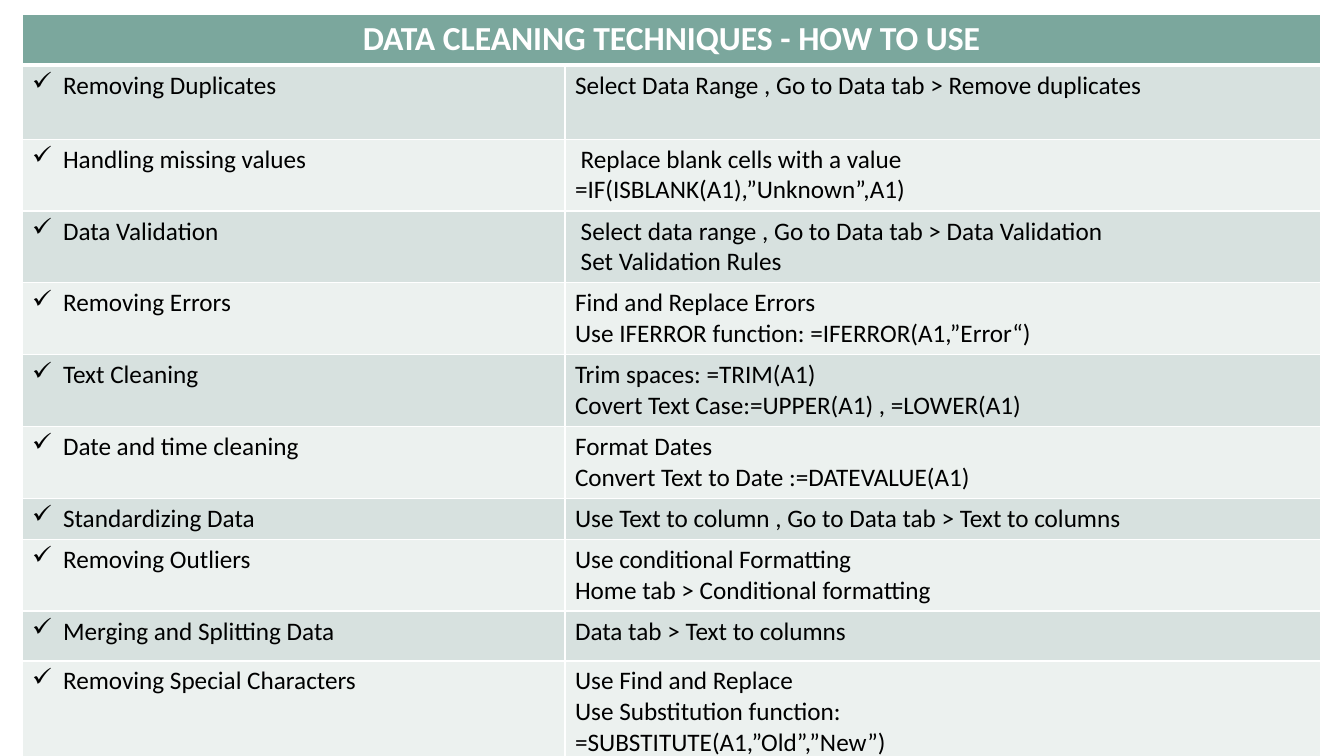
"""Build a slide with a table of data cleaning techniques."""
from lxml import etree
from pptx import Presentation
from pptx.dml.color import RGBColor
from pptx.enum.text import PP_ALIGN
from pptx.oxml.ns import qn
from pptx.util import Pt

CENTER, LEFT = PP_ALIGN.CENTER, PP_ALIGN.LEFT
WHITE = RGBColor(0xFF, 0xFF, 0xFF)
BLACK = RGBColor(0x00, 0x00, 0x00)
GREEN = RGBColor(0x7B, 0xA7, 0x9D)
BANDS = [RGBColor(0xD7, 0xE1, 0xDF), RGBColor(0xEC, 0xF1, 0xEF)]
HEAD = {"name": "Calibri", "size": Pt(24), "bold": True}
BODY = {"name": "Calibri", "size": Pt(18), "bold": False}
SCALE = 914400 / 100.8


def px(n):
    return round(n * SCALE)


def fill_cell(cell, lines, back, ink, style, align=LEFT, tick=False, top=1, base=1):
    props = cell._tc.get_or_add_tcPr()
    for side, width in zip("LRTB", (1, 1, top, base)):
        line = etree.SubElement(props, qn(f"a:ln{side}"), w=str(Pt(width)))
        paint = etree.SubElement(line, qn("a:solidFill"))
        etree.SubElement(paint, qn("a:srgbClr"), val=str(WHITE))
    cell.fill.solid()
    cell.fill.fore_color.rgb = back
    frame = cell.text_frame
    for i, text in enumerate(lines):
        para = frame.add_paragraph() if i else frame.paragraphs[0]
        para.alignment = align
        if tick:
            mark = para._p.get_or_add_pPr()
            mark.set("marL", str(px(31)))
            mark.set("indent", str(-px(31)))
            etree.SubElement(mark, qn("a:buChar"), char="✓")
        run = para.add_run()
        run.text = text
        for key, value in style.items():
            setattr(run.font, key, value)
        run.font.color.rgb = ink


TITLE = "DATA CLEANING TECHNIQUES - HOW TO USE"
STEPS = [
    (74, "Removing Duplicates", ["Select Data Range , Go to Data tab > Remove duplicates"]),
    (72, "Handling missing values",
     [" Replace blank cells with a value", "=IF(ISBLANK(A1),”Unknown”,A1)"]),
    (71, "Data Validation",
     [" Select data range , Go to Data tab > Data Validation", " Set Validation Rules"]),
    (72, "Removing Errors",
     ["Find and Replace Errors", "Use IFERROR function: =IFERROR(A1,”Error“)"]),
    (71, "Text Cleaning",
     ["Trim spaces: =TRIM(A1)", "Covert Text Case:=UPPER(A1) , =LOWER(A1)"]),
    (72, "Date and time cleaning",
     ["Format Dates", "Convert Text to Date :=DATEVALUE(A1)"]),
    (41, "Standardizing Data", ["Use Text to column , Go to Data tab > Text to columns"]),
    (71, "Removing Outliers",
     ["Use conditional Formatting", "Home tab > Conditional formatting"]),
    (50, "Merging and Splitting Data", ["Data tab > Text to columns"]),
    (102, "Removing Special Characters",
     ["Use Find and Replace", "Use Substitution function:", "=SUBSTITUTE(A1,”Old”,”New”)"]),
]
WIDTHS = [543, 756]
HEIGHTS = [51] + [step[0] for step in STEPS]

deck = Presentation()
deck.slide_width, deck.slide_height = px(1344), px(756)
slide = deck.slides.add_slide(deck.slide_layouts[6])
table = slide.shapes.add_table(
    len(HEIGHTS), len(WIDTHS), px(22), px(14), px(sum(WIDTHS)), px(sum(HEIGHTS))
).table
for col, width in zip(table.columns, WIDTHS):
    col.width = px(width)
for row, height in zip(table.rows, HEIGHTS):
    row.height = px(height)

table.cell(0, 0).merge(table.cell(0, 1))
for c, lines in enumerate(([TITLE], [])):
    fill_cell(table.cell(0, c), lines, GREEN, WHITE, HEAD, CENTER, base=3)
for r, (_, name, how) in enumerate(STEPS, 1):
    back = BANDS[(r - 1) % 2]
    top = 3 if r == 1 else 1
    fill_cell(table.cell(r, 0), [name], back, BLACK, BODY, tick=True, top=top)
    fill_cell(table.cell(r, 1), how, back, BLACK, BODY, top=top)

deck.save("out.pptx")
